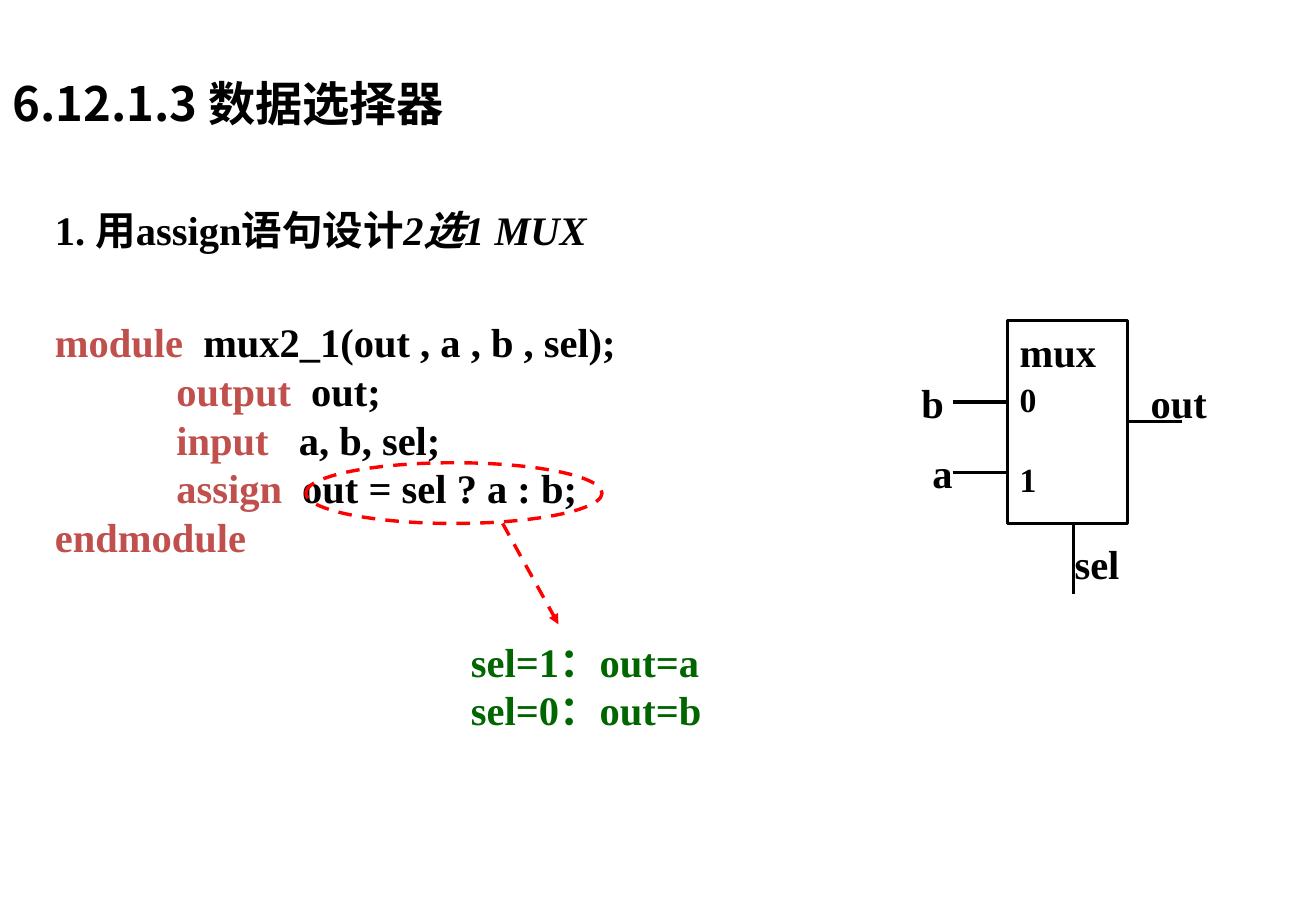
from lxml import etree
from pptx import Presentation
from pptx.dml.color import RGBColor
from pptx.enum import dml, shapes, text
from pptx.oxml.ns import qn
from pptx.util import Pt

BLACK, KEYWORD, RED, GREEN = "000000", "C0504D", "FF0000", "006600"
SERIF, SANS = "Times New Roman", "Noto Sans CJK SC"

prs = Presentation()
prs.slide_width = Pt(780.48)
prs.slide_height = Pt(540)
s = prs.slides.add_slide(prs.slide_layouts[6])


def add_text(x, y, w, h, paragraphs, size=24, font=SERIF, color=BLACK,
             spacing=1.2, anchor=text.MSO_ANCHOR.TOP, tab=None):
    """Each paragraph is a string or a list of (text, colour or None, italic) runs."""
    tf = s.shapes.add_textbox(Pt(x), Pt(y), Pt(w), Pt(h)).text_frame
    tf.word_wrap = True
    tf.vertical_anchor = anchor
    for i, runs in enumerate(paragraphs):
        p = tf.paragraphs[0] if i == 0 else tf.add_paragraph()
        if spacing:
            p.line_spacing = Pt(size * spacing)
        if tab:
            tabs = etree.SubElement(p._p.get_or_add_pPr(), qn("a:tabLst"))
            etree.SubElement(tabs, qn("a:tab"), pos=str(Pt(tab)), algn="l")
        if isinstance(runs, str):
            runs = [(runs, None, False)]
        for words, run_color, italic in runs:
            r = p.add_run()
            r.text = words
            r.font.size, r.font.name = Pt(size), font
            r.font.bold, r.font.italic = True, italic
            r.font.color.rgb = RGBColor.from_string(run_color or color)
            ea = etree.SubElement(r.font._element, qn("a:ea"))
            ea.set("typeface", SANS)


def set_line(sp, color=BLACK, dashed=False, arrow=False):
    sp.line.color.rgb = RGBColor.from_string(color)
    sp.line.width = Pt(2)
    if dashed:
        sp.line.dash_style = dml.MSO_LINE.DASH
    if arrow:
        tail = etree.SubElement(sp.line._get_or_add_ln(), qn("a:tailEnd"))
        tail.set("type", "triangle")
    if sp._element.spPr.find(qn("a:effectLst")) is None:
        etree.SubElement(sp._element.spPr, qn("a:effectLst"))


# Title and heading
add_text(0.3, 40, 435.6, 41.8, ["6.12.1.3 数据选择器"], size=28, font=SANS,
         spacing=None, anchor=text.MSO_ANCHOR.MIDDLE)
add_text(25.5, 118.1, 390, 36,
         [[("1. 用assign语句设计", None, False), ("2选1 MUX", None, True)]])

# Verilog module
code = [
    ("", "module", "  mux2_1(out , a , b , sel);"),
    ("\t", "output", "  out;"),
    ("\t", "input", "   a, b, sel;"),
    ("\t", "assign", "  out = sel ? a : b;"),
    ("", "endmodule", ""),
]
add_text(25.5, 184.6, 390, 151.2,
         [[run for run in ((indent, None, False), (keyword, KEYWORD, False),
                           (rest, None, False)) if run[0]]
          for indent, keyword, rest in code], tab=72)

# Mux body and highlight ellipse
for kind, box, color, dashed in [
    (shapes.MSO_SHAPE.RECTANGLE, (597.6, 190.1, 71.3, 120.2), BLACK, False),
    (shapes.MSO_SHAPE.OVAL, (181.4, 274.3, 175.7, 36), RED, True),
]:
    sp = s.shapes.add_shape(kind, *map(Pt, box))
    sp.shadow.inherit = False
    sp.fill.background()
    set_line(sp, color, dashed)

# Mux pins and the arrow to the explanation
for ends, color, dashed in [
    ((565.2, 238.3, 597.6, 238.3), BLACK, False),
    ((565.2, 280.1, 597.6, 280.1), BLACK, False),
    ((636.5, 310.3, 636.5, 352.1), BLACK, False),
    ((668.9, 249.8, 701.3, 249.8), BLACK, False),
    ((298.1, 310.3, 331.2, 370.1), RED, True),
]:
    line = s.shapes.add_connector(shapes.MSO_CONNECTOR.STRAIGHT, *map(Pt, ends))
    set_line(line, color, dashed, arrow=dashed)

# Mux labels
for label, x, y, size in [
    ("mux", 597.6, 190.5, 24),
    ("0", 597.6, 220.7, 20),
    ("1", 597.6, 268.6, 20),
    ("b", 539.3, 220.3, 24),
    ("a", 545.8, 262.1, 24),
    ("out", 675.3, 220.3, 24),
    ("sel", 630.2, 316.1, 24),
]:
    add_text(x, y, 65, 36, [label], size=size)

# Explanation
add_text(272.2, 373.9, 190, 64.8, ["sel=1：out=a", "sel=0：out=b"], color=GREEN)

prs.save("out.pptx")
